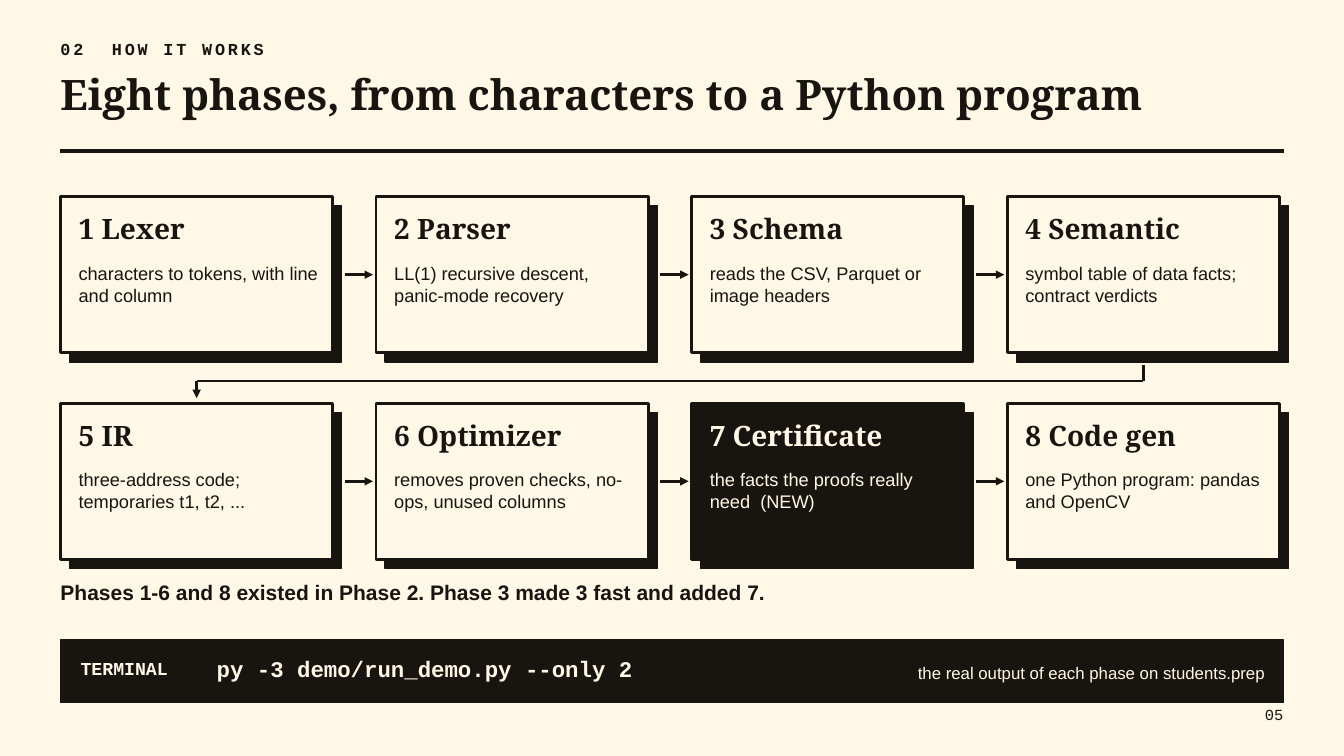
"""Build the slide that shows the eight compiler phases as two rows of cards."""
from lxml import etree
from pptx import Presentation
from pptx.dml.color import RGBColor
from pptx.enum.shapes import MSO_CONNECTOR, MSO_SHAPE
from pptx.enum.text import MSO_ANCHOR, MSO_AUTO_SIZE, PP_ALIGN
from pptx.oxml.ns import qn
from pptx.util import Inches, Pt

SECTION = "02  HOW IT WORKS"
TITLE = "Eight phases, from characters to a Python program"
PHASES = [
    ("Lexer", "characters to tokens, with line and column"),
    ("Parser", "LL(1) recursive descent, panic-mode recovery"),
    ("Schema", "reads the CSV, Parquet or image headers"),
    ("Semantic", "symbol table of data facts; contract verdicts"),
    ("IR", "three-address code; temporaries t1, t2, ..."),
    ("Optimizer", "removes proven checks, no-ops, unused columns"),
    ("Certificate", "the facts the proofs really need  (NEW)"),
    ("Code gen", "one Python program: pandas and OpenCV"),
]
NEW_PHASE = 7
SUMMARY = "Phases 1-6 and 8 existed in Phase 2. Phase 3 made 3 fast and added 7."
COMMAND = "py -3 demo/run_demo.py --only 2"
COMMAND_NOTE = "the real output of each phase on students.prep"
PAGE = "05"

COLORS = {"ink": "18140F", "paper": "FFF8E7"}
SERIF, SANS, MONO = "Noto Serif", "Arial", "Courier New"
SLIDE_W, SLIDE_H = 13.33, 7.5
MARGIN = 0.6
CONTENT_W = SLIDE_W - 2 * MARGIN
COLUMNS = 4
CARD_W, CARD_H = 2.7, 1.55
GRID_TOP, PITCH_X, PITCH_Y = 1.95, 3.13, 2.05
SHADOW, PAD = 0.09, 0.18
ARROW_START, ARROW_END = 0.12, 0.4

prs = Presentation()
prs.slide_width, prs.slide_height = Inches(SLIDE_W), Inches(SLIDE_H)
slide = prs.slides.add_slide(prs.slide_layouts[5])


def color(name):
    return RGBColor.from_string(COLORS[name])


def write(shape, text, size, font, ink="ink", bold=False, align=PP_ALIGN.LEFT,
          anchor=MSO_ANCHOR.TOP, spacing=0):
    frame = shape.text_frame
    frame.margin_left = frame.margin_right = frame.margin_top = frame.margin_bottom = 0
    frame.auto_size = MSO_AUTO_SIZE.NONE
    frame.word_wrap = True
    frame.vertical_anchor = anchor
    paragraph = frame.paragraphs[0]
    paragraph.alignment = align
    run = paragraph.add_run()
    run.text = text
    run.font.name, run.font.size, run.font.bold = font, Pt(size), bold
    run.font.color.rgb = color(ink)
    if spacing:
        run.font._element.set("spc", str(spacing * 100))


def add_text(x, y, w, h, *content, **style):
    box = slide.shapes.add_textbox(Inches(x), Inches(y), Inches(w), Inches(h))
    write(box, *content, **style)


def add_block(x, y, w, h, fill="ink", border=1):
    block = slide.shapes.add_shape(
        MSO_SHAPE.RECTANGLE, Inches(x), Inches(y), Inches(w), Inches(h))
    block.shadow.inherit = False
    block.fill.solid()
    block.fill.fore_color.rgb = color(fill)
    block.line.color.rgb = color("ink")
    block.line.width = Pt(border)


def add_line(start, end, width=2, arrow=False):
    line = slide.shapes.add_connector(
        MSO_CONNECTOR.STRAIGHT, *(Inches(v) for v in (*start, *end)))
    line.line.color.rgb = color("ink")
    line.line.width = Pt(width)
    properties = line._element.spPr
    if arrow:
        etree.SubElement(properties.find(qn("a:ln")), qn("a:tailEnd"), type="triangle")
    etree.SubElement(properties, qn("a:effectLst"))


def add_card(number, name, detail, x, y):
    is_new = number == NEW_PHASE
    fill, ink = ("ink", "paper") if is_new else ("paper", "ink")
    add_block(x + SHADOW, y + SHADOW, CARD_W, CARD_H)
    add_block(x, y, CARD_W, CARD_H, fill, border=2)
    add_text(x + PAD, y + 0.15, 2.4, 0.45, f"{number} {name}", 20, SERIF, ink, bold=True)
    add_text(x + PAD, y + 0.65, 2.4, 0.8, detail, 13, SANS, ink)


slide.background.fill.solid()
slide.background.fill.fore_color.rgb = color("paper")

title = slide.shapes.title
title.left, title.top = Inches(MARGIN), Inches(0.68)
title.width, title.height = Inches(12.1), Inches(0.75)
write(title, TITLE, 30, SERIF, bold=True)
add_text(MARGIN, 0.38, 9, 0.3, SECTION, 12, MONO, bold=True, spacing=2)
add_line((MARGIN, 1.5), (MARGIN + CONTENT_W, 1.5), width=3)
add_text(12, 7, 0.73, 0.3, PAGE, 11, MONO, align=PP_ALIGN.RIGHT)

for index, (name, detail) in enumerate(PHASES):
    row, column = divmod(index, COLUMNS)
    x, y = MARGIN + column * PITCH_X, GRID_TOP + row * PITCH_Y
    add_card(index + 1, name, detail, x, y)
    if column < COLUMNS - 1:
        middle = y + CARD_H / 2
        add_line((x + CARD_W + ARROW_START, middle),
                 (x + CARD_W + ARROW_END, middle), arrow=True)

first_center = MARGIN + CARD_W / 2
last_center = first_center + (COLUMNS - 1) * PITCH_X
row_bottom, next_top = GRID_TOP + CARD_H, GRID_TOP + PITCH_Y
turn = row_bottom + 0.28
add_line((last_center, row_bottom + ARROW_START), (last_center, turn))
add_line((first_center, turn), (last_center, turn))
add_line((first_center, turn), (first_center, next_top - 0.05), arrow=True)

add_text(MARGIN, 5.75, CONTENT_W, 0.4, SUMMARY, 15, SANS, bold=True)
add_block(MARGIN, 6.35, CONTENT_W, 0.62)
add_text(0.8, 6.52, 1.3, 0.3, "TERMINAL", 13, MONO, "paper", bold=True)
add_text(2.15, 6.5, 5.2, 0.34, COMMAND, 16, MONO, "paper", bold=True)
add_text(7.4, 6.45, 5.15, 0.45, COMMAND_NOTE, 12, SANS, "paper",
         align=PP_ALIGN.RIGHT, anchor=MSO_ANCHOR.MIDDLE)

prs.save("out.pptx")
